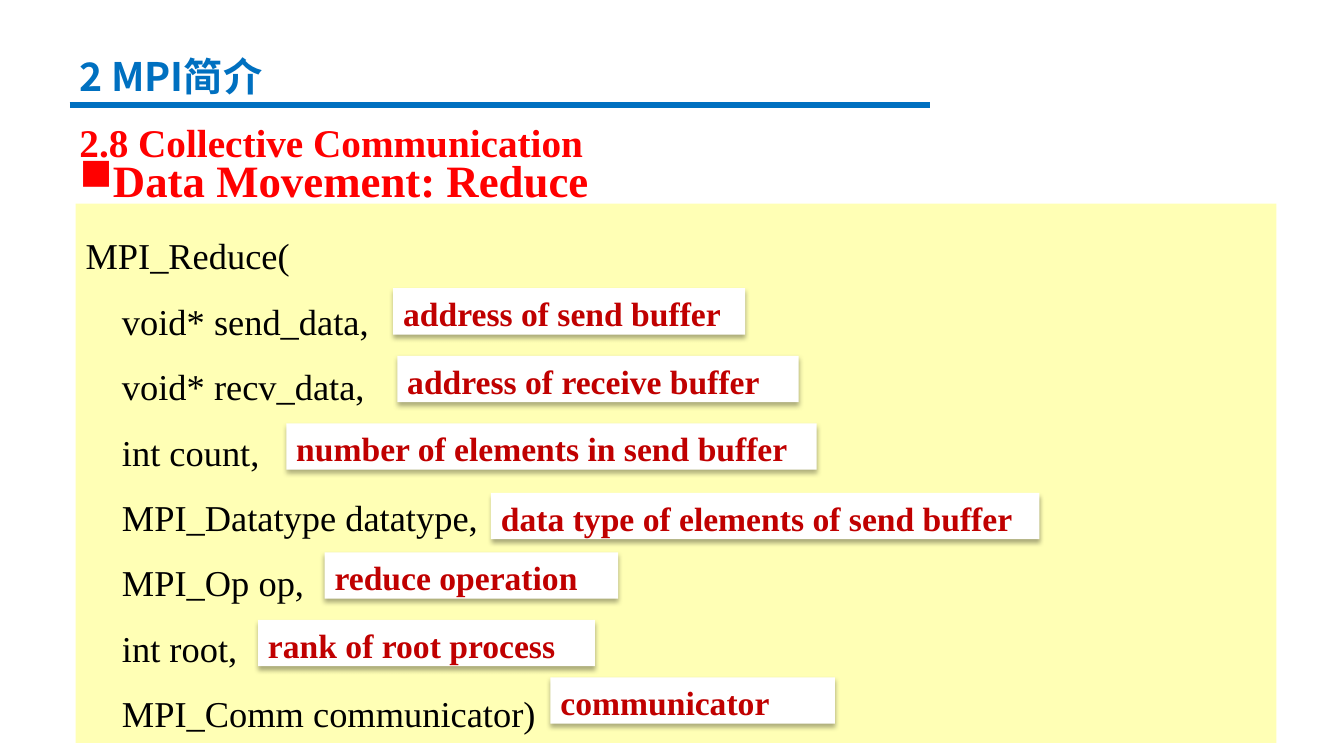
from lxml import etree
from pptx import Presentation, util as u
from pptx.dml.color import RGBColor
from pptx.enum import shapes, text
from pptx.oxml import ns

PX = 9144  # 100 px to the inch
BLUE = RGBColor(0x00, 0x70, 0xC0)
RED = RGBColor(0xFF, 0x00, 0x00)
DARK_RED = RGBColor(0xC0, 0x00, 0x00)
BLACK = RGBColor(0x00, 0x00, 0x00)
WHITE = RGBColor(0xFF, 0xFF, 0xFF)
YELLOW = RGBColor(0xFF, 0xFF, 0xB5)
SERIF = "Times New Roman"
SANS = "Noto Sans CJK SC"

TITLE = dict(name=SANS, size=u.Pt(28), bold=True)
SECTION = dict(name=SERIF, size=u.Pt(28), bold=True)
TOPIC = dict(name=SERIF, size=u.Pt(32), bold=True)
CODE = dict(name=SERIF, size=u.Pt(26), bold=False)
NOTE = dict(name=SERIF, size=u.Pt(24), bold=True)
JUSTIFIED = dict(alignment=text.PP_ALIGN.JUSTIFY)
SPACED = dict(JUSTIFIED, line_spacing=1.5)
LEFT = dict(alignment=text.PP_ALIGN.LEFT)

CODE_LINES = [
    "MPI_Reduce(",
    "    void* send_data,",
    "    void* recv_data,",
    "    int count,",
    "    MPI_Datatype datatype,",
    "    MPI_Op op,",
    "    int root,",
    "    MPI_Comm communicator)",
]
# Each note: left, top and width within the code panel, then wording
NOTES = [
    (315, 84, 349, "address of send buffer"),
    (319, 151, 398, "address of receive buffer"),
    (209, 218, 526, "number of elements in send buffer"),
    (412, 287, 544, "data type of elements of send buffer"),
    (247, 346, 291, "reduce operation"),
    (181, 413, 334, "rank of root process"),
    (471, 470, 282, "communicator"),
]


def add_child(parent, tag, **attributes):
    return etree.SubElement(parent, ns.qn(tag), attributes)


def emu(*lengths):
    return [u.Emu(length * PX) for length in lengths]


def write(shape, lines, font, color, layout, anchor=text.MSO_ANCHOR.TOP):
    frame = shape.text_frame
    frame.word_wrap = True
    frame.vertical_anchor = anchor
    for index, line in enumerate(lines):
        para = frame.paragraphs[0] if index == 0 else frame.add_paragraph()
        for key, value in layout.items():
            setattr(para, key, value)
        span = para.add_run()
        span.text = line
        for key, value in font.items():
            setattr(span.font, key, value)
        span.font.color.rgb = color
        add_child(span.font._element, "a:ea", typeface=font["name"])


def add_text(page, box, line, font, color, layout):
    shape = page.shapes.add_textbox(*emu(*box))
    write(shape, [line], font, color, layout)
    return shape


def add_panel(page, box, fill):
    panel = page.shapes.add_shape(shapes.MSO_SHAPE.RECTANGLE, *emu(*box))
    panel.shadow.inherit = False
    panel.fill.solid()
    panel.fill.fore_color.rgb = fill
    panel.line.fill.background()
    return panel


def add_shadow(shape):
    effects = shape._element.spPr.find(ns.qn("a:effectLst"))
    shadow = add_child(effects, "a:outerShdw", blurRad=str(u.Pt(3.5)),
                       dist=str(u.Pt(2.2)), dir="5400000", rotWithShape="0")
    color = add_child(shadow, "a:srgbClr", val=str(BLACK))
    add_child(color, "a:alpha", val="32000")


def add_heading(page, left, top):
    rule = page.shapes.add_connector(
        shapes.MSO_CONNECTOR.STRAIGHT,
        *emu(left, top + 57, left + 853, top + 57))
    rule.line.color.rgb = BLUE
    rule.line.width = u.Pt(4.5)
    add_child(rule._element.spPr, "a:effectLst")
    add_text(page, (left, top, 344, 57), "2 MPI简介", TITLE, BLUE, LEFT)
    add_text(page, (left, top + 42, 1227, 70),
             "2.8 Collective Communication", SECTION, RED, SPACED)
    topic = add_text(page, (left, top + 100, 956, 60),
                     "Data Movement: Reduce", TOPIC, RED, JUSTIFIED)
    properties = topic.text_frame.paragraphs[0]._p.get_or_add_pPr()
    indent = 25 * PX
    properties.set("marL", str(indent))
    properties.set("indent", str(-indent))
    add_child(properties, "a:buChar", char="■")


def add_code(page, left, top, width, height):
    """Place the function signature and a note beside each argument."""
    panel = add_panel(page, (left, top, width, height), YELLOW)
    write(panel, CODE_LINES, CODE, BLACK, SPACED, text.MSO_ANCHOR.MIDDLE)
    for across, down, note_width, wording in NOTES:
        note = add_panel(page, (left + across, top + down, note_width, 46),
                         WHITE)
        add_shadow(note)
        write(note, [wording], NOTE, DARK_RED, LEFT)


def main():
    deck = Presentation()
    deck.slide_width, deck.slide_height = emu(1333, 750)
    page = deck.slides.add_slide(deck.slide_layouts[6])
    add_heading(page, 69, 47)
    add_code(page, 75, 202, 1191, 535)
    deck.save("out.pptx")


if __name__ == "__main__":
    main()
